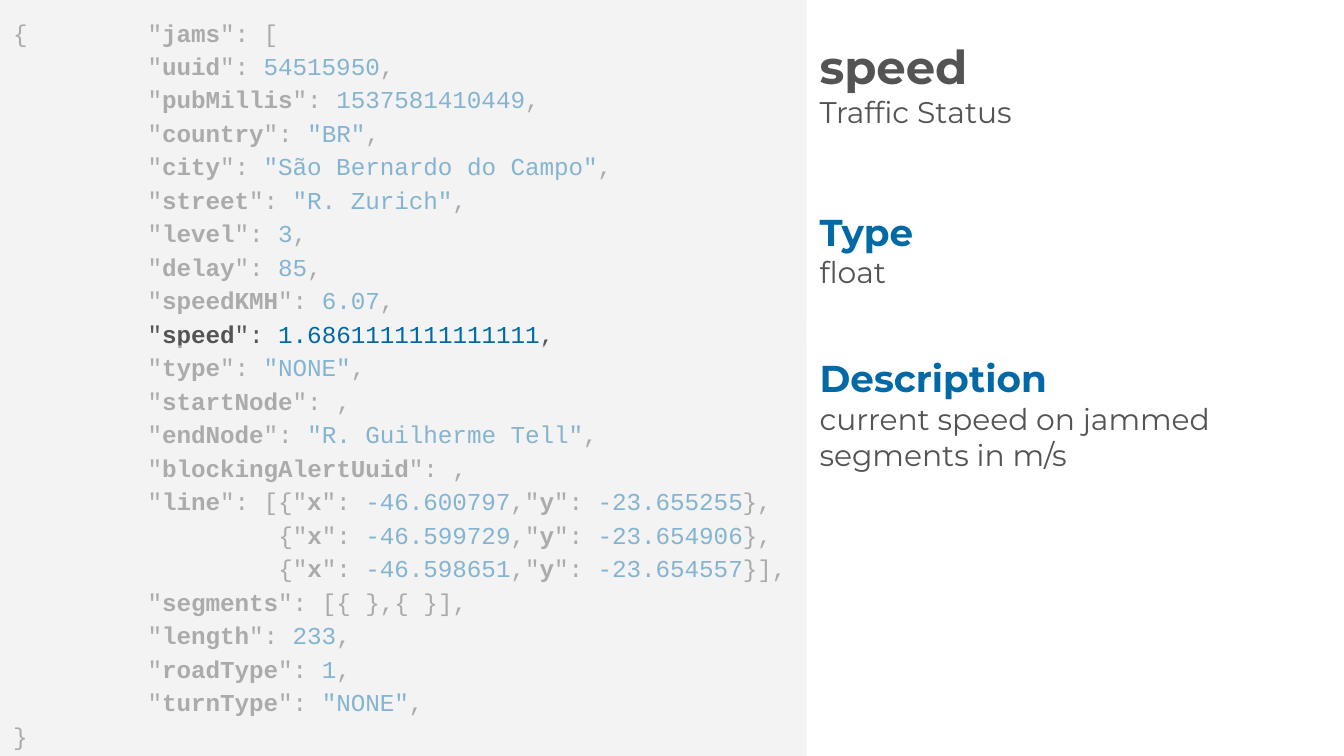
from lxml.etree import SubElement as Sub
from pptx import Presentation as Deck
from pptx.dml.color import RGBColor as Rgb
from pptx.enum.shapes import MSO_SHAPE as Shape
from pptx.enum.text import MSO_ANCHOR as Anchor, PP_ALIGN as Align
from pptx.oxml.ns import qn
from pptx.util import Inches, Pt

GRAY, BLUE, PALE = "545454", "0069A6", "F3F3F3"
MONO, SANS = "Courier New", "Montserrat"
WIDE, SPLIT = 10, 6
HIGH = WIDE * 9 / 16

FIELDS = [
    '"*uuid*": ~54515950~,',
    '"*pubMillis*": ~1537581410449~,',
    '"*country*": ~"BR"~,',
    '"*city*": ~"São Bernardo do Campo"~,',
    '"*street*": ~"R. Zurich"~,',
    '"*level*": ~3~,',
    '"*delay*": ~85~,',
    '"*speedKMH*": ~6.07~,',
    '"*speed*": ~1.6861111111111111~,',
    '"*type*": ~"NONE"~,',
    '"*startNode*": ,',
    '"*endNode*": ~"R. Guilherme Tell"~,',
    '"*blockingAlertUuid*": ,',
    '"*line*": [{"*x*": ~-46.600797~,"*y*": ~-23.655255~},',
    '         {"*x*": ~-46.599729~,"*y*": ~-23.654906~},',
    '         {"*x*": ~-46.598651~,"*y*": ~-23.654557~}],',
    '"*segments*": [{ },{ }],',
    '"*length*": ~233~,',
    '"*roadType*": ~1~,',
    '"*turnType*": ~"NONE"~,',
]


def paint(hue):
    return Rgb.from_string(hue)


def write(frame, text, font=SANS, size=16, hue=GRAY, bold=False,
          indent=0, tab=0, space=None, first=False):
    para = frame.paragraphs[0] if first else frame.add_paragraph()
    props = para._p.get_or_add_pPr()
    if tab:
        stops = Sub(props, qn("a:tabLst"))
        Sub(stops, qn("a:tab"), pos=str(Inches(tab)), algn="l")
    if indent:
        props.set("marL", str(Inches(indent)))
    para.alignment = Align.LEFT
    para.line_spacing = space
    for i, part in enumerate(text.split("*")):
        for j, piece in enumerate(part.split("~")):
            if piece:
                run = para.add_run()
                run.text = piece
                run.font.name = font
                run.font.size = Pt(size)
                run.font.bold = bold or i % 2 == 1
                run.font.color.rgb = paint(BLUE if j % 2 else hue)


def setup(frame, anchor=Anchor.TOP):
    frame.word_wrap = True
    frame.vertical_anchor = anchor
    frame.margin_left = frame.margin_right = Inches(0.1)
    frame.margin_top = frame.margin_bottom = Inches(0.1)
    return frame


def panel(slide, top, high, alpha=None):
    box = slide.shapes.add_shape(
        Shape.RECTANGLE, 0, Inches(top), Inches(SPLIT), Inches(high))
    box.shadow.inherit = False
    box.line.fill.background()
    box.fill.solid()
    box.fill.fore_color.rgb = paint(PALE)
    if alpha:
        tint = box._element.spPr.find(".//" + qn("a:srgbClr"))
        Sub(tint, qn("a:alpha"), val=str(alpha * 1000))
    return box


def label(slide, top, wide, high, text, anchor=Anchor.TOP, **style):
    box = slide.shapes.add_textbox(
        Inches(SPLIT), Inches(top), Inches(wide), Inches(high))
    frame = setup(box.text_frame, anchor)
    write(frame, text, first=True, **style)
    return frame


def code(slide):
    frame = setup(panel(slide, 0, HIGH).text_frame)
    style = dict(font=MONO, size=13, space=1.15)
    write(frame, '{\t"*jams*": [', first=True, tab=1, **style)
    for line in FIELDS:
        write(frame, line, indent=1, **style)
    write(frame, "}", **style)


def main():
    deck = Deck()
    deck.slide_width, deck.slide_height = Inches(WIDE), Inches(HIGH)
    slide = deck.slides.add_slide(deck.slide_layouts[6])
    code(slide)

    title = label(slide, 0.16, 4, 0.92, "speed", Anchor.MIDDLE,
                  size=25, bold=True)
    write(title, "Traffic Status")
    head = dict(size=20, hue=BLUE, bold=True)
    label(slide, 1.46, 1.93, 0.5, "Type", **head)
    label(slide, 1.79, 3.6, 0.87, "float")
    label(slide, 2.88, 4, 2.63, "current speed on jammed segments in m/s")
    label(slide, 2.54, 1.93, 0.5, "Description", **head)

    for top, end in ((2.57, HIGH), (0, 2.35)):
        panel(slide, top, end - top, alpha=55)
    deck.save("out.pptx")


if __name__ == "__main__":
    main()
